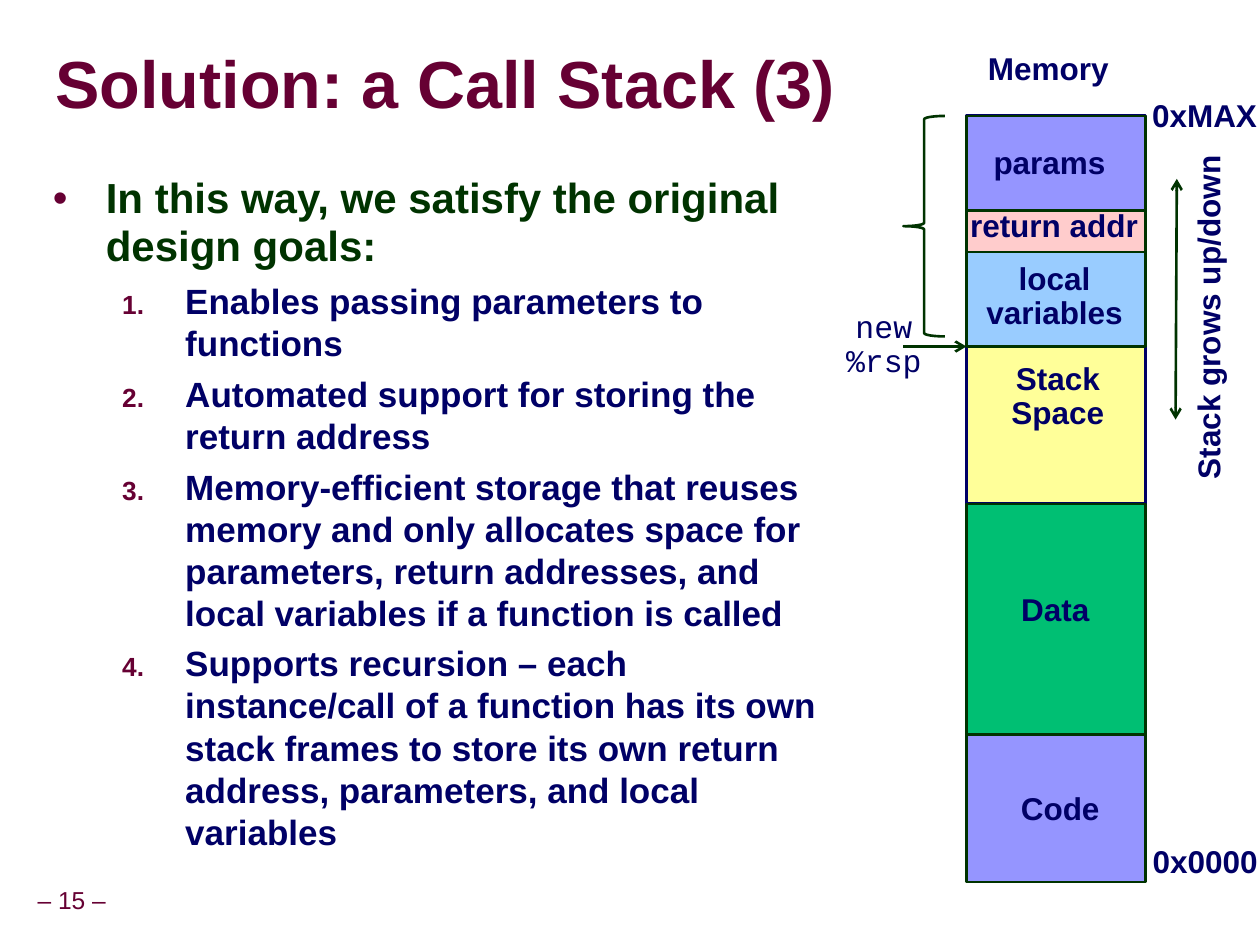
"""Build the call stack slide with its memory layout diagram."""
from lxml import etree
from pptx import Presentation
from pptx.dml.color import RGBColor
from pptx.enum import shapes, text
from pptx.oxml import parse_xml
from pptx.oxml.ns import nsdecls, qn
from pptx.util import Inches, Pt

NAVY = RGBColor(0x00, 0x00, 0x66)
GREEN = RGBColor(0x00, 0x33, 0x00)
MAROON = RGBColor(0x66, 0x00, 0x33)
YELLOW = RGBColor(0xFF, 0xFF, 0x99)
EMERALD = RGBColor(0x00, 0xBF, 0x73)
VIOLET = RGBColor(0x95, 0x95, 0xFF)
PINK = RGBColor(0xFF, 0xCC, 0xCC)
SKY = RGBColor(0x99, 0xCC, 0xFF)

presentation = Presentation()
presentation.slide_width, presentation.slide_height = Inches(10), Inches(7.5)
slide = presentation.slides.add_slide(presentation.slide_layouts[1])


def add_label(wording, left, top, width, height, font_name="Arial", size=18, color=NAVY, bold=True):
    label = slide.shapes.add_textbox(Inches(left), Inches(top), Inches(width), Inches(height))
    label.text_frame.word_wrap = False
    label.text_frame.text = wording
    for paragraph in label.text_frame.paragraphs:
        paragraph.alignment = text.PP_ALIGN.CENTER
        paragraph.line_spacing = 0.9
        paragraph.font.name, paragraph.font.size = font_name, Pt(size)
        paragraph.font.bold, paragraph.font.color.rgb = bold, color
    return label


def add_arrow(x1, y1, x2, y2, ends):
    arrow = slide.shapes.add_connector(
        shapes.MSO_CONNECTOR.STRAIGHT, Inches(x1), Inches(y1), Inches(x2), Inches(y2))
    arrow.line.color.rgb, arrow.line.width = GREEN, Pt(1.5)
    line = arrow.line._get_or_add_ln()
    for end in ends:
        etree.SubElement(line, qn(f"a:{end}"), type="arrow")
    etree.SubElement(arrow._element.spPr, qn("a:effectLst"))


title = slide.shapes.title
title.left, title.top, title.width, title.height = Inches(0.44), Inches(0.27), Inches(9.53), Inches(0.85)
frame = title.text_frame
frame.text = "Solution: a Call Stack (3)"
frame.margin_left = frame.margin_right = frame.margin_top = frame.margin_bottom = 0
frame.vertical_anchor = text.MSO_ANCHOR.MIDDLE
frame.auto_size = text.MSO_AUTO_SIZE.NONE
paragraph = frame.paragraphs[0]
paragraph.alignment, paragraph.line_spacing = text.PP_ALIGN.LEFT, 0.87
font = paragraph.runs[0].font
font.name, font.size, font.bold, font.color.rgb = "Arial", Pt(38), True, MAROON
font._element.find(qn("a:solidFill")).addnext(parse_xml(
    f'<a:effectLst {nsdecls("a")}><a:outerShdw blurRad="38100" dist="38100" dir="2700000">'
    '<a:srgbClr val="C0C0C0"/></a:outerShdw></a:effectLst>'))

body = slide.placeholders[1]
body.left, body.top, body.width, body.height = Inches(0.32), Inches(1.34), Inches(6.35), Inches(5.71)
frame = body.text_frame
frame.auto_size = text.MSO_AUTO_SIZE.NONE
frame.text = "\n".join([
    "In this way, we satisfy the original design goals:",
    "Enables passing parameters to functions",
    "Automated support for storing the return address",
    "Memory-efficient storage that reuses memory and only allocates space for parameters, "
    "return addresses, and local variables if a function is called",
    "Supports recursion – each instance/call of a function has its own stack frames to store "
    "its own return address, parameters, and local variables",
])
for index, paragraph in enumerate(frame.paragraphs):
    numbered = index > 0
    paragraph.level = int(numbered)
    paragraph.line_spacing = 1.0 if numbered else 0.95
    paragraph.space_before = Pt(5 if numbered else 12)
    paragraph.font.name, paragraph.font.bold = "Arial", True
    paragraph.font.size = Pt(20 if numbered else 24)
    paragraph.font.color.rgb = NAVY if numbered else GREEN
    properties = paragraph._p.get_or_add_pPr()
    properties.set("marL", str(Inches(1.05 if numbered else 0.42)))
    properties.set("indent", str(Inches(-0.5 if numbered else -0.42)))
    bullet_size = 75000 if numbered else 100000
    bullet = '<a:buAutoNum type="arabicPeriod"/>' if numbered else '<a:buChar char="•"/>'
    bullet_parts = parse_xml(
        f'<a:pPr {nsdecls("a")}><a:buClr><a:srgbClr val="{MAROON}"/></a:buClr>'
        f'<a:buSzPct val="{bullet_size}"/><a:buFont typeface="Arial"/>{bullet}</a:pPr>')
    default_font = properties.find(qn("a:defRPr"))
    for part in list(bullet_parts):
        default_font.addprevious(part)

for top, bottom, fill, outline, weight in [
    (0.92, 4, YELLOW, NAVY, 2),
    (4, 5.83, EMERALD, GREEN, 1.5),
    (5.83, 7, VIOLET, GREEN, 1.5),
    (0.92, 1.67, VIOLET, GREEN, 1.5),
    (1.67, 2, PINK, GREEN, 1.5),
    (2, 2.75, SKY, GREEN, 1.5),
]:
    segment = slide.shapes.add_shape(
        shapes.MSO_SHAPE.RECTANGLE, Inches(7.67), Inches(top), Inches(1.42), Inches(bottom - top))
    segment.shadow.inherit = False
    segment.fill.solid()
    segment.fill.fore_color.rgb = fill
    segment.line.color.rgb, segment.line.width = outline, Pt(weight)

for wording, left, top, width, height in [
    ("Memory", 7.73, 0.37, 1.18, 0.38),
    ("0xMAX", 9.03, 0.75, 1.06, 0.38),
    ("params", 7.78, 1.12, 1.1, 0.38),
    ("return addr", 7.59, 1.62, 1.55, 0.38),
    ("local\nvariables", 7.72, 2.04, 1.3, 0.65),
    ("Stack\nSpace", 7.92, 2.83, 0.95, 0.65),
    ("Data", 8, 4.67, 0.75, 0.38),
    ("Code", 8, 6.25, 0.83, 0.38),
    ("0x0000", 9.04, 6.67, 1.05, 0.38),
]:
    add_label(wording, left, top, width, height)

add_label(" new\n %rsp", 6.46, 2.42, 0.96, 0.65, font_name="Courier New", bold=False)
growth_label = add_label("Stack grows up/down", 8.21, 2.33, 2.8, 0.38)
growth_label.rotation = 270

brace = slide.shapes.add_shape(
    shapes.MSO_SHAPE.LEFT_BRACE, Inches(7.17), Inches(0.92), Inches(0.33), Inches(1.75))
brace.shadow.inherit = False
brace.fill.background()
brace.line.color.rgb, brace.line.width = GREEN, Pt(1.5)
brace.adjustments[0] = 0.08

add_arrow(7.17, 2.75, 7.67, 2.75, ["tailEnd"])
add_arrow(9.34, 1.42, 9.33, 3.33, ["headEnd", "tailEnd"])

page_number = add_label("– 15 –", 0.24, 7, 0.66, 0.31, size=14, color=MAROON, bold=False)
frame = page_number.text_frame
frame.margin_left = frame.margin_right = Inches(0.05)
frame.vertical_anchor = text.MSO_ANCHOR.MIDDLE

presentation.save("out.pptx")
